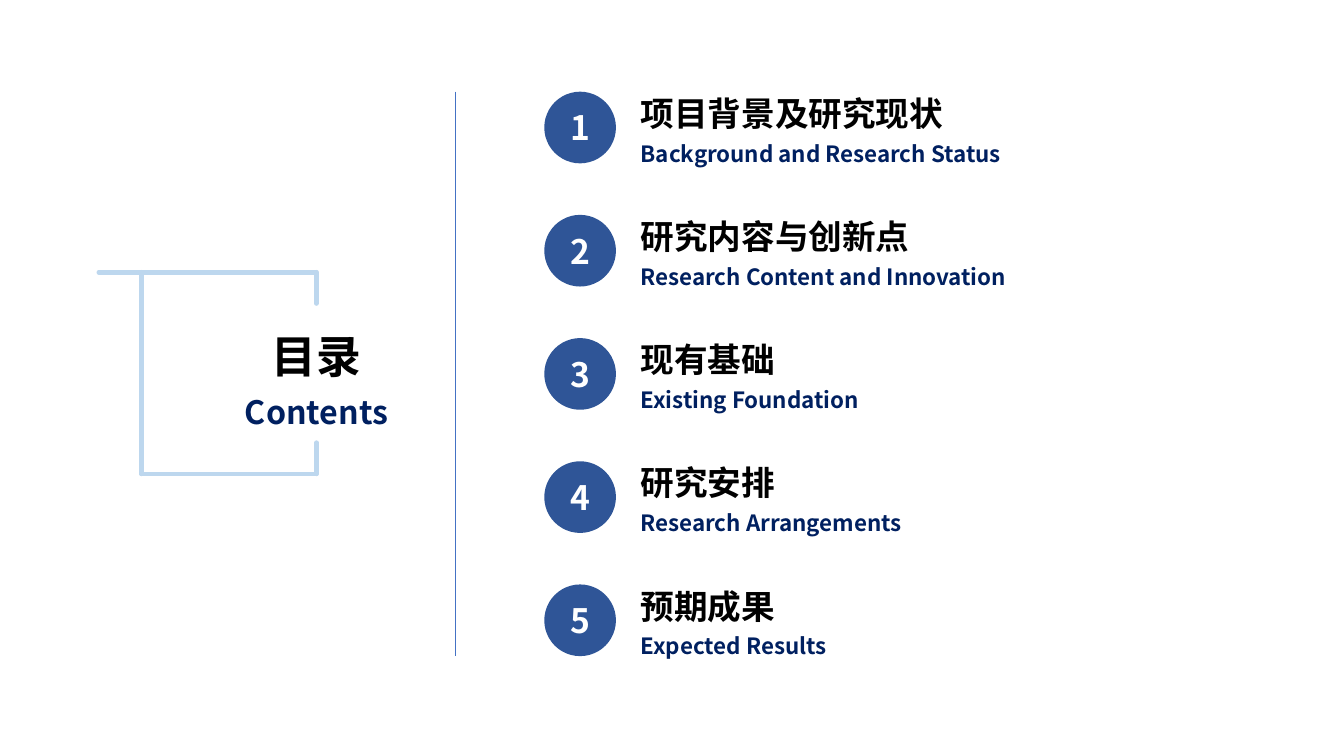
from lxml.etree import SubElement
from pptx import Presentation
from pptx.dml.color import RGBColor
from pptx.enum.shapes import MSO_CONNECTOR as Connector, MSO_SHAPE as Shape
from pptx.enum.text import MSO_ANCHOR as Anchor, MSO_AUTO_SIZE as AutoSize, PP_ALIGN as Align
from pptx.oxml.ns import qn
from pptx.util import Pt

FONT = "Noto Sans CJK SC"
COLORS = {
    "black": "000000",
    "navy": "002060",
    "white": "FFFFFF",
    "badge": "2F5597",
    "frame": "BDD7EE",
    "divider": "4472C4",
}
SECTIONS = [
    ("项目背景及研究现状", "Background and Research Status"),
    ("研究内容与创新点", "Research Content and Innovation"),
    ("现有基础", "Existing Foundation"),
    ("研究安排", "Research Arrangements"),
    ("预期成果", "Expected Results"),
]
FIRST_TOP, PITCH, BADGE_SIZE = 65.5, 88, 51.2


def color(name):
    return RGBColor.from_string(COLORS[name])


def place(shape, left, top, width, height):
    shape.left, shape.top = Pt(left), Pt(top)
    shape.width, shape.height = Pt(width), Pt(height)


def write_lines(frame, lines, align, spacing=1.0):
    """Write one paragraph for each (text, size, color name)."""
    for index, (text, size, tint) in enumerate(lines):
        para = frame.add_paragraph() if index else frame.paragraphs[0]
        para.alignment = align
        para.line_spacing = spacing
        para.space_before = Pt(0)
        span = para.add_run()
        span.text = text
        span.font.size = Pt(size)
        span.font.bold = True
        span.font.color.rgb = color(tint)
        span.font.name = FONT
        # East Asian glyphs take their own typeface entry
        SubElement(span.font._element, qn("a:ea"), typeface=FONT)


def add_line(page, start, end, tint, width, cap="flat"):
    points = [Pt(value) for value in (*start, *end)]
    line = page.shapes.add_connector(Connector.STRAIGHT, *points)
    line.line.color.rgb = color(tint)
    line.line.width = Pt(width)
    line.line._get_or_add_ln().set("cap", cap)
    SubElement(line._element.spPr, qn("a:effectLst"))


def add_heading(page):
    title = page.shapes.title
    place(title, 148.5, 221.8, 155.5, 92.2)
    frame = title.text_frame
    frame.word_wrap = True
    frame.auto_size = AutoSize.NONE
    frame.vertical_anchor = Anchor.TOP
    lines = [("目录", 32, "black"), ("Contents", 23, "navy")]
    write_lines(frame, lines, Align.CENTER, 1.25)


def add_frame(page):
    """Draw the bracket that opens around the heading."""
    tail, left, right, top, bottom, stub = 70.6, 101, 226, 194.5, 338.5, 22.3
    for start, end in [
        ((tail, top), (right, top)),
        ((left, bottom), (right, bottom)),
        ((left, top), (left, bottom)),
        ((right, top), (right, top + stub)),
        ((right, bottom - stub), (right, bottom)),
    ]:
        add_line(page, start, end, "frame", 3.25, "rnd")


def add_section(page, number, chinese, english):
    top = FIRST_TOP + (number - 1) * PITCH

    # Numbered badge
    badge = page.shapes.add_shape(Shape.OVAL, 0, 0, 0, 0)
    place(badge, 388.8, top, BADGE_SIZE, BADGE_SIZE)
    badge.shadow.inherit = False
    badge.fill.solid()
    badge.fill.fore_color.rgb = color("badge")
    badge.line.fill.background()
    badge.text_frame.vertical_anchor = Anchor.MIDDLE
    write_lines(badge.text_frame, [(str(number), 24, "white")], Align.CENTER)

    # Section name in both languages
    box = page.shapes.add_textbox(0, 0, 0, 0)
    place(box, 450.5, top - 10, 409, 65.5)
    box.text_frame.word_wrap = True
    lines = [(chinese, 24, "black"), (english, 16, "navy")]
    write_lines(box.text_frame, lines, Align.LEFT, 1.25)


def main():
    deck = Presentation()
    deck.slide_width, deck.slide_height = Pt(960), Pt(540)
    page = deck.slides.add_slide(deck.slide_layouts[5])

    # Left side
    add_heading(page)
    add_frame(page)
    add_line(page, (325.5, 65.5), (325.5, 468.7), "divider", 0.5)

    # Contents list
    for number, (chinese, english) in enumerate(SECTIONS, 1):
        add_section(page, number, chinese, english)

    deck.save("out.pptx")


if __name__ == "__main__":
    main()
